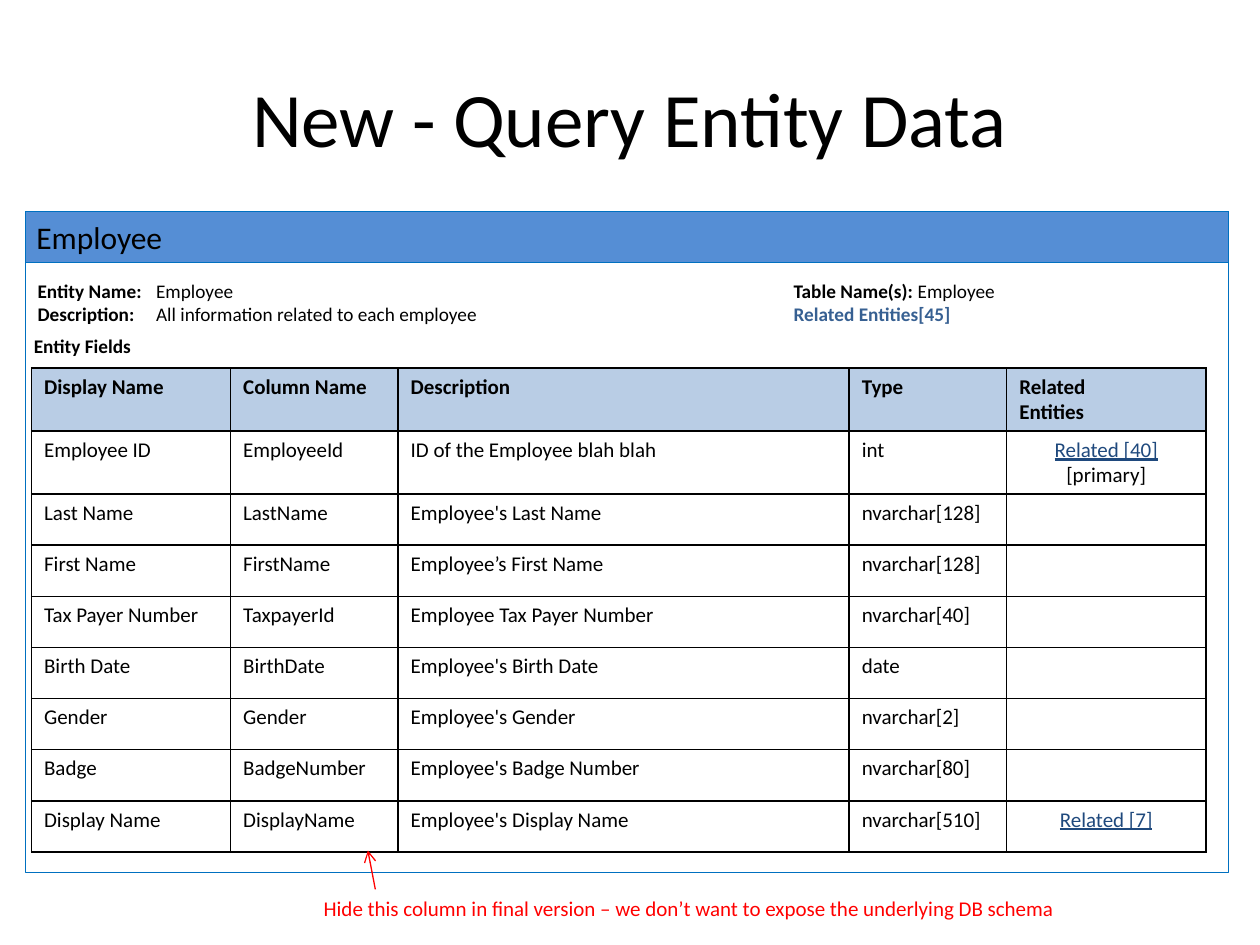
import dataclasses

import lxml.etree
import pptx
import pptx.dml.color
import pptx.enum.shapes
import pptx.enum.text
import pptx.oxml.ns
import pptx.util

COLORS = {
    "white": "FFFFFF",
    "black": "000000",
    "outline": "0070C0",
    "banner": "558ED5",
    "header": "B9CDE5",
    "link": "1F497D",
    "related": "376092",
    "note": "FF0000",
}
FONT = "Calibri"
GRID_COLUMNS = 1000
CELL = pptx.util.Inches(10) // GRID_COLUMNS
COLUMN_WIDTHS = (158, 133, 358, 125, 158)
TALL_ROW, SHORT_ROW = 50, 40.6
HEADINGS = ("Display Name", "Column Name", "Description", "Type", "Related\nEntities")
FIELDS = (
    ("Employee ID", "EmployeeId", "ID of the Employee blah blah", "int", "Related [40]\v[primary]"),
    ("Last Name", "LastName", "Employee's Last Name", "nvarchar[128]", ""),
    ("First Name", "FirstName", "Employee’s First Name", "nvarchar[128]", ""),
    ("Tax Payer Number", "TaxpayerId", "Employee Tax Payer Number", "nvarchar[40]", ""),
    ("Birth Date", "BirthDate", "Employee's Birth Date", "date", ""),
    ("Gender", "Gender", "Employee's Gender", "nvarchar[2]", ""),
    ("Badge", "BadgeNumber", "Employee's Badge Number", "nvarchar[80]", ""),
    ("Display Name", "DisplayName", "Employee's Display Name", "nvarchar[510]", "Related [7]"),
)


@dataclasses.dataclass
class Box:
    left: float
    top: float
    width: float
    height: float

    def inner(self, left, top, width, height):
        return Box(self.left + left, self.top + top, width, height)

    def lengths(self):
        return [grid(value) for value in (self.left, self.top, self.width, self.height)]


def grid(count):
    return pptx.util.Emu(round(count * CELL))


def color(name):
    return pptx.dml.color.RGBColor.from_string(COLORS[name])


def style(paragraph, size, name="black", bold=False, align="LEFT"):
    paragraph.alignment = getattr(pptx.enum.text.PP_ALIGN, align)
    paragraph.font.name = FONT
    paragraph.font.size = pptx.util.Pt(size)
    paragraph.font.bold = bold
    paragraph.font.color.rgb = color(name)


def add_rectangle(slide, box, fill, line=None):
    shape = slide.shapes.add_shape(pptx.enum.shapes.MSO_SHAPE.RECTANGLE, *box.lengths())
    shape.shadow.inherit = False
    shape.fill.solid()
    shape.fill.fore_color.rgb = color(fill)
    if line:
        shape.line.color.rgb = color(line)
        shape.line.width = pptx.util.Pt(0.25)
    else:
        shape.line.fill.background()
    return shape


def add_text(slide, box, text, size, bold=False, align="LEFT", anchor="TOP"):
    shape = slide.shapes.add_textbox(*box.lengths())
    frame = shape.text_frame
    frame.word_wrap = True
    frame.vertical_anchor = getattr(pptx.enum.text.MSO_ANCHOR, anchor)
    frame.text = text
    style(frame.paragraphs[0], size, bold=bold, align=align)
    return frame


def add_panel(slide, box):
    add_rectangle(slide, box, "white", "outline")
    banner = box.inner(0, 0, box.width, 40)
    add_rectangle(slide, banner, "banner", "outline")
    add_text(slide, box.inner(-1, 0, 433, 40), "Employee", 18)
    add_text(slide, box.inner(-3, 92, 150, 29), "Entity Fields", 11, bold=True)


def add_summary(slide, box):
    lines = (
        (("Entity Name:", True), ("\tEmployee", False),
         ("\tTable Name(s): ", True), ("Employee", False)),
        (("Description:", True), ("\tAll information related to each employee", False),
         ("\tRelated Entities[45]", True)),
    )
    frame = add_text(slide, box, "", 11)
    for index, line in enumerate(lines):
        paragraph = frame.add_paragraph() if index else frame.paragraphs[0]
        style(paragraph, 11)
        for text, bold in line:
            run = paragraph.add_run()
            run.text = text
            run.font.bold = bold
        properties = paragraph._p.get_or_add_pPr()
        stops = lxml.etree.Element(pptx.oxml.ns.qn("a:tabLst"))
        for position in (94, 600):
            lxml.etree.SubElement(stops, pptx.oxml.ns.qn("a:tab"), pos=str(grid(position)), algn="l")
        properties.insert(0, stops)
    run.font.color.rgb = color("related")


def add_borders(cell):
    properties = cell._tc.get_or_add_tcPr()
    for index, side in enumerate(("lnL", "lnR", "lnT", "lnB")):
        line = lxml.etree.Element(pptx.oxml.ns.qn("a:" + side), w=str(pptx.util.Pt(1)))
        fill = lxml.etree.SubElement(line, pptx.oxml.ns.qn("a:solidFill"))
        lxml.etree.SubElement(fill, pptx.oxml.ns.qn("a:srgbClr"), val=COLORS["black"])
        properties.insert(index, line)


def fill_cell(cell, text, is_header, is_related):
    if is_header:
        cell.fill.solid()
        cell.fill.fore_color.rgb = color("header")
    else:
        cell.fill.background()
    add_borders(cell)
    cell.text = text
    is_link = is_related and not is_header
    for paragraph in cell.text_frame.paragraphs:
        style(paragraph, 12, bold=is_header, align="CENTER" if is_link else "LEFT")
        if is_link and paragraph.runs:
            link = paragraph.runs[0]
            link.font.underline = True
            link.font.color.rgb = color("link")


def add_fields_table(slide, box):
    rows = (HEADINGS,) + FIELDS
    table = slide.shapes.add_table(len(rows), len(HEADINGS), *box.lengths()).table
    table.first_row = False
    table.horz_banding = False
    for column, width in zip(table.columns, COLUMN_WIDTHS):
        column.width = grid(width)
    for row_index, row in enumerate(rows):
        table.rows[row_index].height = grid(TALL_ROW if row_index < 2 else SHORT_ROW)
        for column_index, text in enumerate(row):
            is_related = column_index == len(HEADINGS) - 1
            fill_cell(table.cell(row_index, column_index), text, row_index == 0, is_related)


def add_note(slide, box):
    start, end = box.inner(53, 11, 0, 0), box.inner(45, -31, 0, 0)
    arrow = slide.shapes.add_connector(
        pptx.enum.shapes.MSO_CONNECTOR.STRAIGHT,
        grid(start.left), grid(start.top), grid(end.left), grid(end.top))
    arrow.line.color.rgb = color("note")
    arrow.line.width = pptx.util.Pt(0.75)
    outline = arrow._element.spPr.find(pptx.oxml.ns.qn("a:ln"))
    lxml.etree.SubElement(outline, pptx.oxml.ns.qn("a:tailEnd"), type="arrow")
    lxml.etree.SubElement(arrow._element.spPr, pptx.oxml.ns.qn("a:effectLst"))
    frame = add_rectangle(slide, box, "white").text_frame
    frame.word_wrap = True
    frame.vertical_anchor = pptx.enum.text.MSO_ANCHOR.TOP
    frame.text = "Hide this column in final version – we don’t want to expose the underlying DB schema"
    style(frame.paragraphs[0], 12, "note")


def build():
    presentation = pptx.Presentation()
    presentation.slide_width = grid(GRID_COLUMNS)
    presentation.slide_height = grid(750)
    slide = presentation.slides.add_slide(presentation.slide_layouts[6])
    panel = Box(20, 168, 955, 524)
    add_panel(slide, panel)
    add_text(slide, Box(50, 30, 900, 125), "New - Query Entity Data", 44, align="CENTER", anchor="MIDDLE")
    add_fields_table(slide, panel.inner(5, 124, sum(COLUMN_WIDTHS), 384))
    add_summary(slide, panel.inner(0, 49, 788, 47))
    add_note(slide, Box(247, 706, 725, 30))
    presentation.save("out.pptx")


build()
